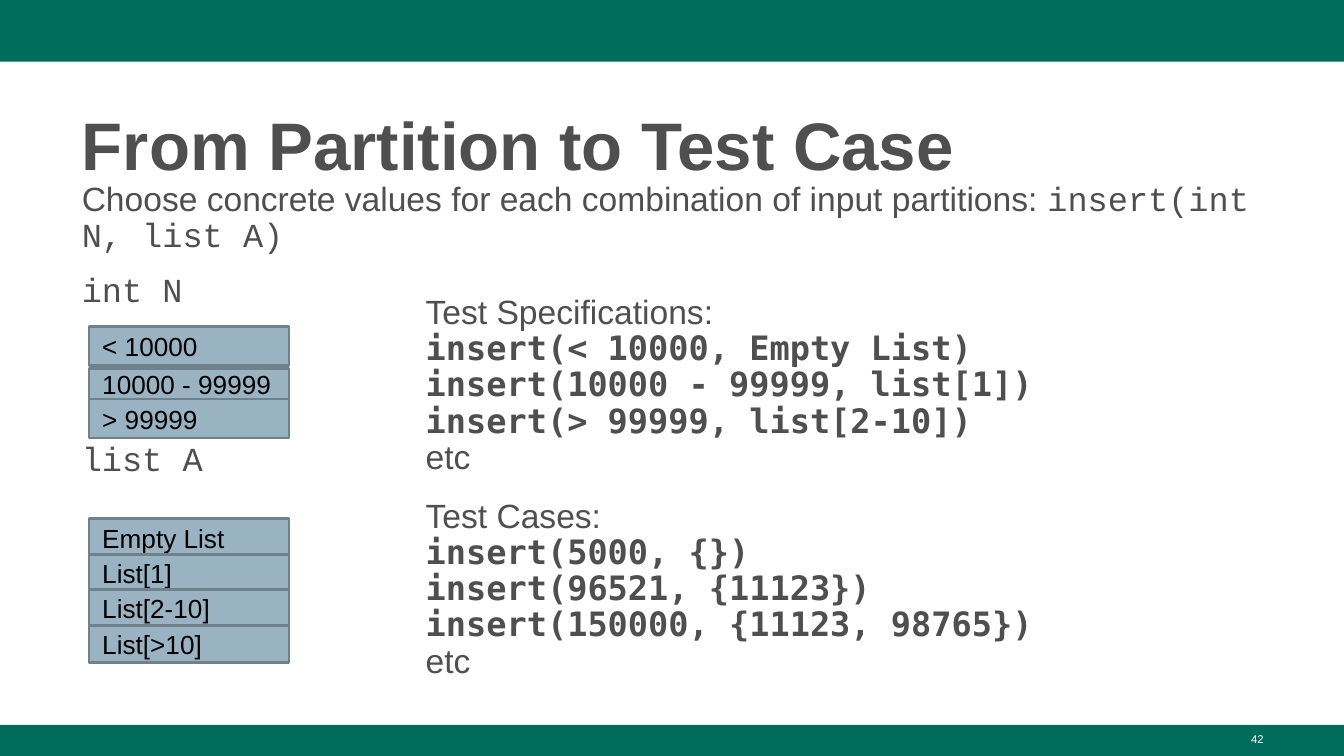
from pptx import Presentation
from pptx.dml.color import RGBColor
from pptx.enum import shapes, text
from pptx.util import Pt

GREEN = RGBColor(0x00, 0x6C, 0x5C)
GREY = RGBColor(0x4F, 0x4F, 0x4F)
BLUE = RGBColor(0x99, 0xB3, 0xC2)
EDGE = RGBColor(0x6F, 0x82, 0x8C)
BLACK = RGBColor(0, 0, 0)
WHITE = RGBColor(255, 255, 255)
SANS, COURIER, MONO = "Arial", "Courier New", "DejaVu Sans Mono"
WIDTH, HEIGHT = 720, 405

# Content
TITLE = "From Partition to Test Case"
# Paragraphs: space before, then (text, font) runs
INTRO = [
    (0, [("Choose concrete values for each combination of input partitions: ", SANS),
         ("insert(int N, list A)", COURIER)]),
    (10, [("int N", COURIER)]),
    (71, [("list A", COURIER)]),
]
# Groups: heading, then calls
TESTS = [
    ("Test Specifications:", ["insert(< 10000, Empty List)",
                              "insert(10000 - 99999, list[1])",
                              "insert(> 99999, list[2-10])"]),
    ("Test Cases:", ["insert(5000, {})",
                     "insert(96521, {11123})",
                     "insert(150000, {11123, 98765})"]),
]
# Partitions: label, top, height
INT_PARTS = [("< 10000", 175, 20.9), ("10000 - 99999", 197.3, 16.6),
             ("> 99999", 213.8, 20.9)]
LIST_LABELS = ["Empty List", "List[1]", "List[2-10]", "List[>10]"]
LIST_TOP, LIST_STEP, LIST_HEIGHT = 277.9, 19, 20.2
PAGE = "42"

prs = Presentation()
prs.slide_width, prs.slide_height = Pt(WIDTH), Pt(HEIGHT)
s = prs.slides.add_slide(prs.slide_layouts[5])


def add_run(p, content, font=SANS, size=18, color=GREY, bold=False):
    r = p.add_run()
    r.text = content
    r.font.name, r.font.size, r.font.bold = font, Pt(size), bold
    r.font.color.rgb = color


def set_frame(sp, inset=3.6, anchor=text.MSO_ANCHOR.TOP):
    tf = sp.text_frame
    tf.word_wrap = True
    tf.auto_size = text.MSO_AUTO_SIZE.NONE
    tf.vertical_anchor = anchor
    tf.margin_left = tf.margin_right = Pt(7.2)
    tf.margin_top = tf.margin_bottom = Pt(inset)
    return tf


def add_box(x, y, w, h, **frame):
    return set_frame(s.shapes.add_textbox(Pt(x), Pt(y), Pt(w), Pt(h)), **frame)


def add_rect(x, y, w, h, fill, line=None):
    sp = s.shapes.add_shape(shapes.MSO_SHAPE.RECTANGLE, Pt(x), Pt(y), Pt(w), Pt(h))
    sp.shadow.inherit = False
    sp.fill.solid()
    sp.fill.fore_color.rgb = fill
    if line is None:
        sp.line.fill.background()
    else:
        sp.line.color.rgb = line
        sp.line.width = Pt(1.5)
    return sp


def add_paragraphs(tf, paragraphs):
    for i, (before, runs) in enumerate(paragraphs):
        p = tf.add_paragraph() if i else tf.paragraphs[0]
        p.line_spacing, p.space_before = 0.9, Pt(before)
        for content, font in runs:
            add_run(p, content, font=font, bold=font == MONO)


# Header and footer bands
add_rect(0, 0, WIDTH, 33.1, GREEN)
add_rect(0, 388.3, WIDTH, HEIGHT - 388.3, GREEN)

# Title
title = s.shapes.title
title.left, title.top, title.width, title.height = Pt(36.7), Pt(48.2), Pt(647.3), Pt(52.6)
p = set_frame(title).paragraphs[0]
p.alignment, p.line_spacing = text.PP_ALIGN.LEFT, 1.08
add_run(p, TITLE, size=36, bold=True)

# Introduction with the parameter headings
add_paragraphs(add_box(36.7, 94.3, 647.3, 160.6), INTRO)

# Test specifications and test cases
lines = []
for heading, calls in TESTS:
    lines.append((12 if lines else 0, [(heading, SANS)]))
    lines += [(0, [(call, MONO)]) for call in calls]
    lines.append((0, [("etc", SANS)]))
add_paragraphs(add_box(221, 147.6, 463, 227.5, inset=7.2,
                       anchor=text.MSO_ANCHOR.MIDDLE), lines)

# Partition boxes
list_parts = [(label, LIST_TOP + i * LIST_STEP, LIST_HEIGHT)
              for i, label in enumerate(LIST_LABELS)]
for label, top, height in INT_PARTS + list_parts:
    sp = add_rect(47.7, top, 107.2, height, BLUE, EDGE)
    p = set_frame(sp, inset=7.2, anchor=text.MSO_ANCHOR.MIDDLE).paragraphs[0]
    p.alignment = text.PP_ALIGN.LEFT
    add_run(p, label, size=14, color=BLACK)

# Slide number
p = add_box(516.2, 388.8, 167.8, 16.2).paragraphs[0]
p.alignment = text.PP_ALIGN.RIGHT
add_run(p, PAGE, size=6, color=WHITE)

prs.save("out.pptx")
